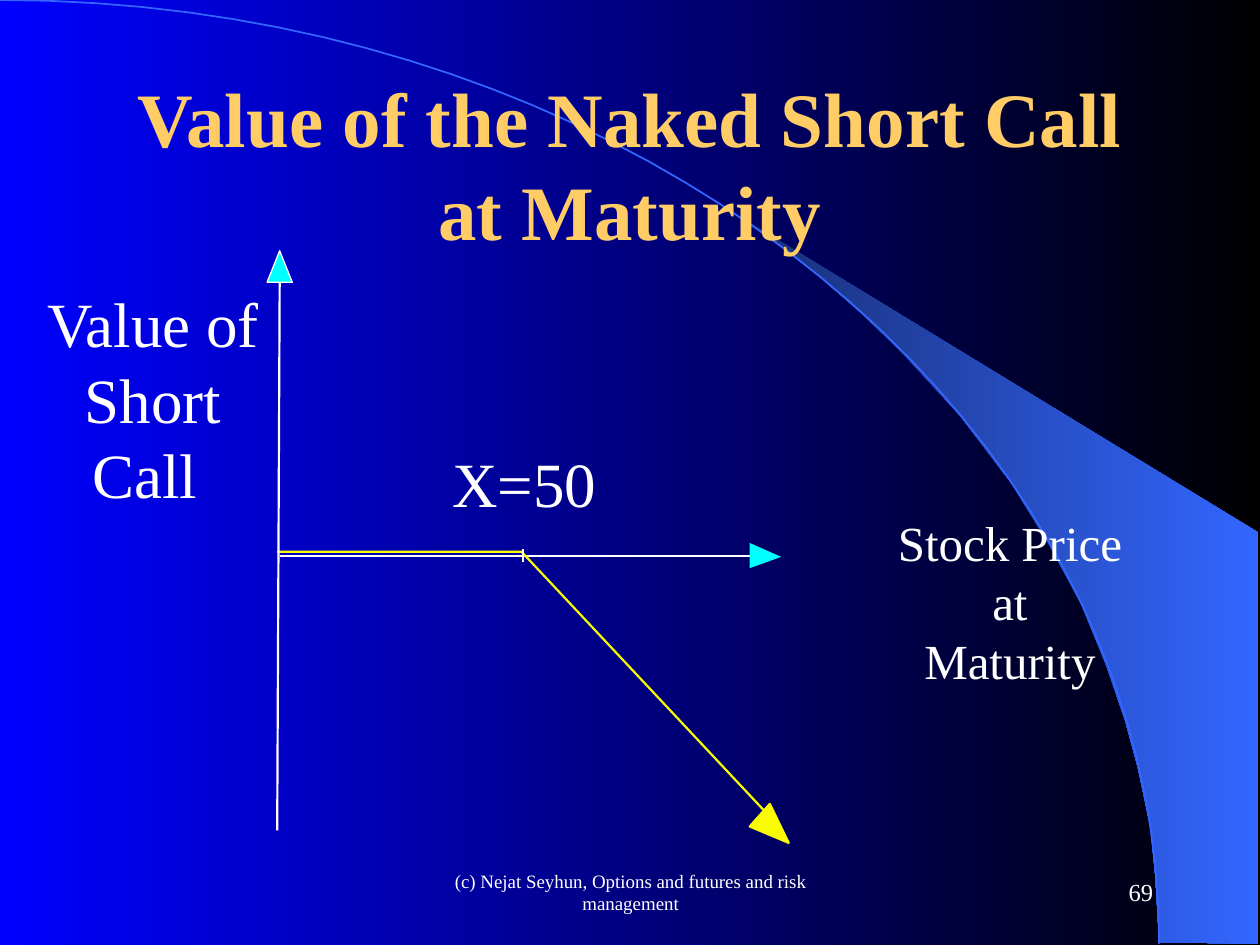
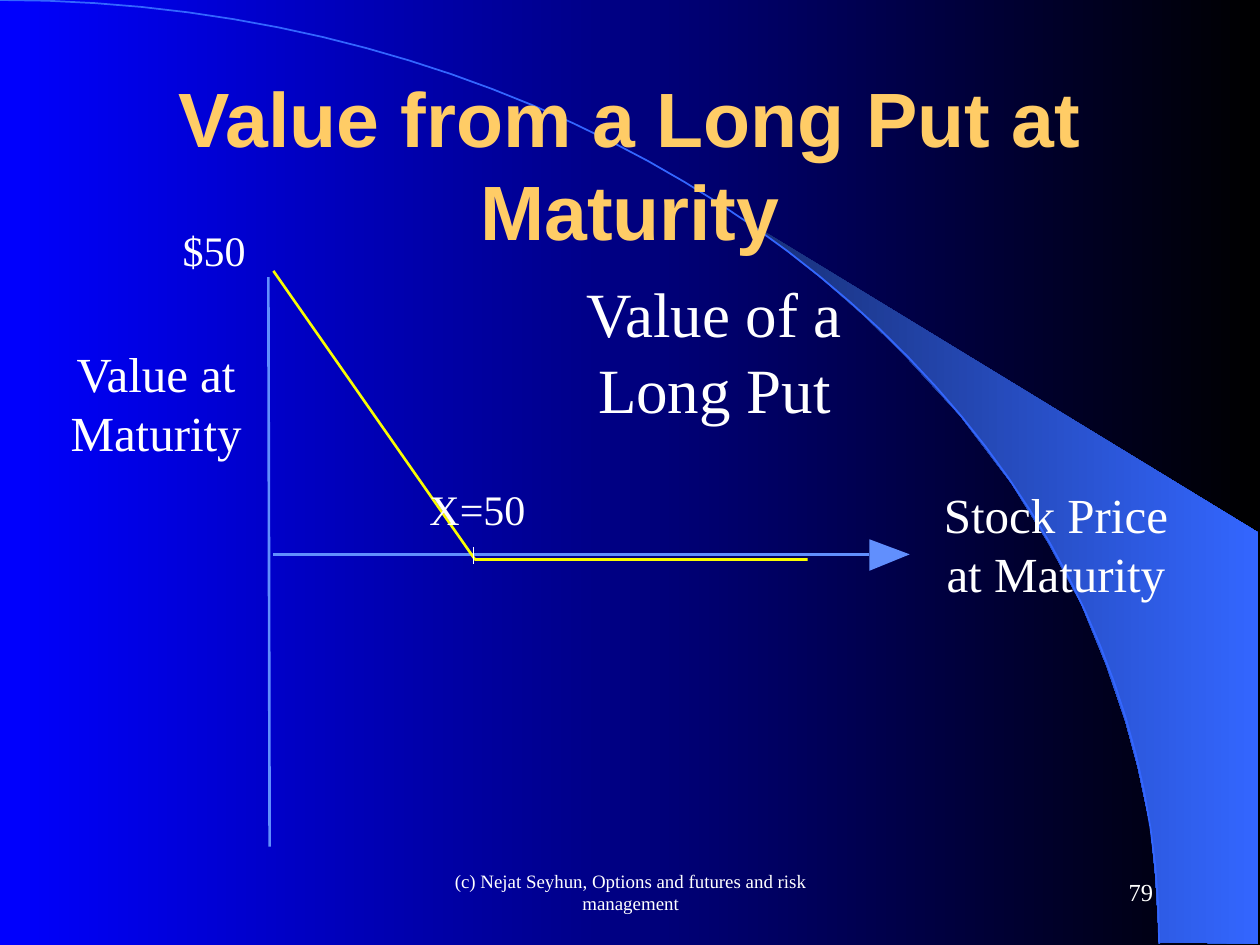
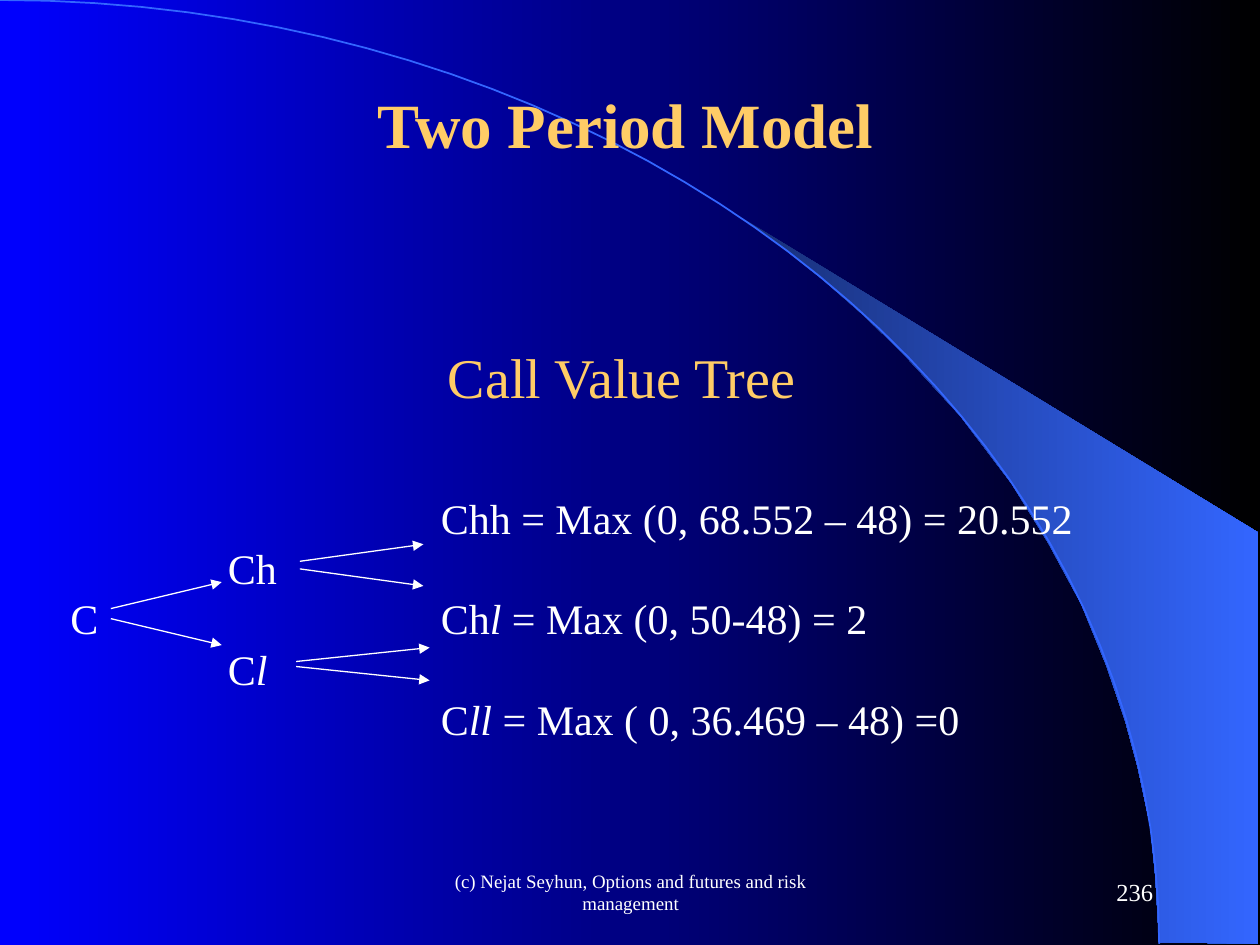
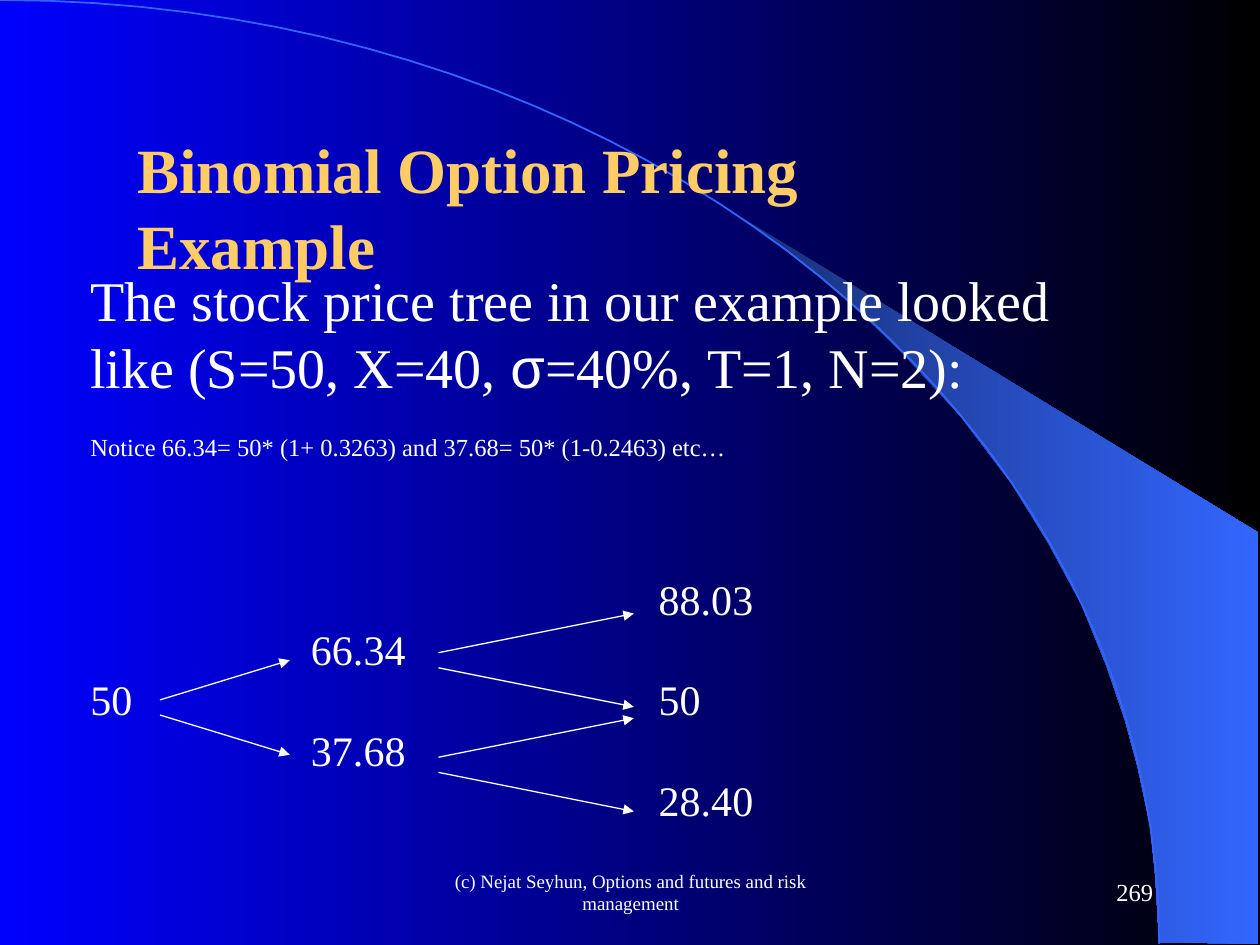
"""Build four option-pricing slides with payoff diagrams and binomial trees."""
from lxml.etree import SubElement
from pptx import Presentation
from pptx.dml.color import RGBColor
from pptx.enum.shapes import MSO_CONNECTOR
from pptx.enum.text import MSO_ANCHOR as ANCHOR, PP_ALIGN as ALIGN
from pptx.oxml.ns import qn
from pptx.util import Inches, Pt

BLUE = RGBColor(0x00, 0x00, 0xFF)
BLACK = RGBColor(0x00, 0x00, 0x00)
NAVY = RGBColor(0x18, 0x2F, 0x76)
ROYAL = RGBColor(0x33, 0x66, 0xFF)
SKY = RGBColor(0x61, 0x8F, 0xFD)
CYAN = RGBColor(0x00, 0xFF, 0xFF)
YELLOW = RGBColor(0xFA, 0xFD, 0x00)
GOLD = RGBColor(0xFF, 0xCC, 0x66)
WHITE = RGBColor(0xFF, 0xFF, 0xFF)

SERIF, SANS = "Times New Roman", "Arial"
COLS, ROWS = 100, 75
FOOTER = "(c) Nejat Seyhun, Options and futures and risk management"
ARC = [(0, 0), (50.8, 0), (92, 33.5), (92, 74.9)]
ARC_STEPS = 40
BEAM = [(92, 74.8), (99.9, 74.9), (99.9, 42.3), (58.9, 17.3), (62.4, 19.9), (65.3, 22.2),
        (68.5, 25), (71.6, 28), (76.2, 33), (80.3, 38.4), (83.2, 43.1), (85.8, 47.9),
        (87.8, 52.8), (89.3, 57.2), (90.3, 60.9), (91.3, 65.6), (91.7, 69.6)]


def bezier(points, steps):
    """Return points along a cubic curve."""
    curve = []
    for i in range(steps + 1):
        t = i / steps
        weights = ((1 - t) ** 3, 3 * t * (1 - t) ** 2, 3 * t * t * (1 - t), t ** 3)
        curve.append(tuple(sum(w * p[k] for w, p in zip(weights, points)) for k in (0, 1)))
    return curve


def gradient(fill, first, last):
    """Apply a left-to-right gradient of two colours."""
    fill.gradient()
    fill.gradient_angle = 0
    for stop, color, position in zip(fill.gradient_stops, (first, last), (0, 1)):
        stop.color.rgb = color
        stop.position = position


class Deck:
    """Hold the shared style and the current slide."""

    def __init__(self):
        """Start an empty 4:3 presentation."""
        self.prs = Presentation()
        self.prs.slide_width, self.prs.slide_height = Inches(10), Inches(7.5)
        self.s = None

    def x(self, col):
        """Convert columns to a length."""
        return round(self.prs.slide_width * col / COLS)

    def y(self, row):
        """Convert rows to a length."""
        return round(self.prs.slide_height * row / ROWS)

    def slide(self, number):
        """Add a slide with its backdrop, footer and number."""
        self.s = self.prs.slides.add_slide(self.prs.slide_layouts[6])
        gradient(self.s.background.fill, BLUE, BLACK)
        gradient(self.outline(BEAM, closed=True).fill, NAVY, ROYAL)
        self.outline(bezier(ARC, ARC_STEPS), line=ROYAL, width=1)
        tf = self.box(34.2, 68.3, 31.7, 5, anchor=ANCHOR.MIDDLE)
        self.para(tf, FOOTER, size=10.8, align=ALIGN.CENTER)
        tf = self.box(71.7, 68.3, 20.8, 5, anchor=ANCHOR.MIDDLE)
        self.para(tf, str(number), size=14, align=ALIGN.RIGHT)

    def outline(self, points, fill=None, line=None, width=0.75, closed=False):
        """Draw a freeform through grid points."""
        pts = [(self.x(c), self.y(r)) for c, r in points]
        builder = self.s.shapes.build_freeform(*pts[0])
        builder.add_line_segments(pts[1:], close=closed)
        sp = builder.convert_to_shape()
        sp.shadow.inherit = False
        for target, color in ((sp.fill, fill), (sp.line.fill, line)):
            if color is None:
                target.background()
            else:
                target.solid()
                target.fore_color.rgb = color
        if line is not None:
            sp.line.width = Pt(width)
        return sp

    def line(self, start, end, color=WHITE, width=0.75, arrow=False):
        """Draw a straight line, with an arrowhead if asked."""
        (c0, r0), (c1, r1) = start, end
        cn = self.s.shapes.add_connector(MSO_CONNECTOR.STRAIGHT, self.x(c0), self.y(r0),
                                         self.x(c1), self.y(r1))
        cn.line.color.rgb = color
        cn.line.width = Pt(width)
        if arrow:
            SubElement(cn.line._get_or_add_ln(), qn("a:tailEnd"), type="triangle")
        SubElement(cn._element.spPr, qn("a:effectLst"))

    def fork(self, left, right, middle, gap, spread):
        """Draw two arrows that part from a tree node."""
        for side in (-1, 1):
            self.line((left, middle + side * gap), (right, middle + side * spread), arrow=True)

    def box(self, left, top, width, height, wrap=True, anchor=ANCHOR.TOP):
        """Add a text box and return its frame."""
        tf = self.s.shapes.add_textbox(self.x(left), self.y(top),
                                       self.x(width), self.y(height)).text_frame
        tf.word_wrap = wrap
        tf.vertical_anchor = anchor
        return tf

    def para(self, tf, *runs, size=24, color=WHITE, font=SERIF, bold=False,
             align=ALIGN.LEFT, before=0, tabs=()):
        """Add a paragraph; a run is text or a pair of text and font settings."""
        p = tf.paragraphs[0] if not tf.paragraphs[0].runs else tf.add_paragraph()
        if tabs:
            tab_list = SubElement(p._p.get_or_add_pPr(), qn("a:tabLst"))
            for col in tabs:
                SubElement(tab_list, qn("a:tab"), pos=str(self.x(col)), algn="l")
        p.alignment = align
        if before:
            p.space_before = Pt(before)
        for run in runs:
            words, extra = (run, {}) if isinstance(run, str) else run
            r = p.add_run()
            r.text = words
            r.font.size, r.font.name, r.font.bold = Pt(size), font, bold
            r.font.color.rgb = color
            for key, value in extra.items():
                setattr(r.font, key, value)

    def title(self, words, font=SERIF):
        """Add a large centred title."""
        tf = self.box(7.5, 6.7, 85, 12.5, anchor=ANCHOR.MIDDLE)
        self.para(tf, words, size=44, color=GOLD, font=font, bold=True, align=ALIGN.CENTER)

    def heading(self, words, left, top, width):
        """Add a one-line heading."""
        tf = self.box(left, top, width, 7, wrap=False)
        self.para(tf, words, size=36, color=GOLD, bold=True)

    def label(self, lines, left, top, width, height, size, wrap=False):
        """Add a centred label, one paragraph a line."""
        tf = self.box(left, top, width, height, wrap=wrap)
        for words in lines:
            self.para(tf, words, size=size, align=ALIGN.CENTER)

    def tree(self, tf, rows, tabs, before):
        """Add the rows of a tree, set out with tabs."""
        for i, runs in enumerate(rows):
            self.para(tf, *runs, tabs=tabs, before=0 if i else before)


def short_call(d):
    """Draw the payoff of a short call."""
    d.slide(69)
    d.title("Value of the Naked Short Call at Maturity")
    d.outline([(21.2, 22.4), (22.2, 19.9), (23.2, 22.4)], CYAN, WHITE, closed=True)
    d.line((22.2, 44.1), (59.8, 44.1), width=1.25)
    d.outline([(59.5, 43.1), (62, 44.2), (59.5, 45.1)], CYAN, closed=True)
    d.outline([(22, 43.8), (41.4, 43.8), (60.8, 64.5)], line=YELLOW, width=1.25)
    d.line((41.5, 43.6), (41.5, 44.6))
    d.line((22, 65.9), (22.2, 22.4), width=1.25)
    d.label(["Value of", "Short", "Call "], 2.5, 22.1, 19.3, 19, 36)
    d.label(["Stock Price at", "Maturity"], 68.4, 40.2, 23.5, 10.4, 28)
    d.label(["X=50"], 34.9, 34.8, 13.4, 7, 36)
    d.outline([(59.5, 65.6), (62.6, 66.9), (61.1, 63.8)], YELLOW, YELLOW, 1.25, closed=True)


def long_put(d):
    """Draw the payoff of a long put."""
    d.slide(79)
    d.title("Value from a Long Put at Maturity", font=SANS)
    d.line((21.7, 44), (69, 44), SKY, 1.5)
    d.outline([(69, 42.8), (72.2, 44), (69, 45.3)], SKY, closed=True)
    d.outline([(21.7, 21.5), (37.7, 44.4), (64.1, 44.4)], line=YELLOW, width=1.5)
    d.line((37.6, 43.4), (37.6, 44.8))
    d.line((21.4, 67.2), (21.3, 22), SKY, 1.5)
    d.label(["X=50"], 33.1, 37.9, 9.6, 5, 24)
    d.label(["Stock Price at Maturity"], 72.7, 38, 22.2, 10.4, 28, wrap=True)
    d.label(["Value of a Long Put"], 41.8, 21.3, 29.8, 13, 36, wrap=True)
    d.label(["Value at", "Maturity"], 4.6, 26.8, 15.6, 10.4, 28)
    d.label(["$50"], 13.5, 17.3, 7, 5, 24)


def call_tree(d):
    """Draw the two-period tree of call values."""
    italic = {"italic": True}
    d.slide(236)
    tf = d.box(4.6, 26.7, 89.5, 36.9)
    d.para(tf, "Call Value Tree", size=32, color=GOLD, align=ALIGN.CENTER)
    d.tree(tf, [
        ["\t\tChh = Max (0, 68.552 – 48) = 20.552"],
        ["\tCh"],
        ["C\t\tCh", ("l", italic), " = Max (0, 50-48) = 2"],
        ["\tC", ("l", italic)],
        ["\t\tC", ("ll", italic), " = Max ( 0, 36.469 – 48) =0"],
    ], tabs=(12.5, 29.4), before=47)
    d.fork(8.8, 17.6, 48.7, 0.4, 2.5)
    d.fork(23.5, 34.1, 52.7, 0.2, 1.3)
    d.fork(23.8, 33.6, 44.85, 0.3, 1.65)
    d.heading("Two Period Model", 29, 6.3, 41.7)


def price_tree(d):
    """Draw the binomial tree of stock prices."""
    d.slide(269)
    tf = d.box(6.2, 20.6, 84.6, 53.4)
    d.para(tf, "The stock price tree in our example looked like (S=50, X=40, ",
           ("σ", {"name": SANS}), "=40%, T=1, N=2):", size=32)
    d.para(tf, "Notice 66.34= 50* (1+ 0.3263) and 37.68= 50* (1-0.2463) etc…",
           size=14, before=18)
    d.tree(tf, [["\t\t88.03"], ["\t66.34"], ["50\t\t50"], ["\t37.68"], ["\t\t28.40"]],
           tabs=(17.5, 45.1), before=64)
    d.fork(12.7, 23, 56.15, 0.6, 3.75)
    for middle in (52.4, 60.7):
        d.fork(34.8, 50.3, middle, 0.6, 3.7)
    d.heading("Binomial Option Pricing Example", 9.9, 9.9, 74.6)


def main():
    """Build all slides and save them."""
    d = Deck()
    for build in (short_call, long_put, call_tree, price_tree):
        build(d)
    d.prs.save("out.pptx")


if __name__ == "__main__":
    main()
